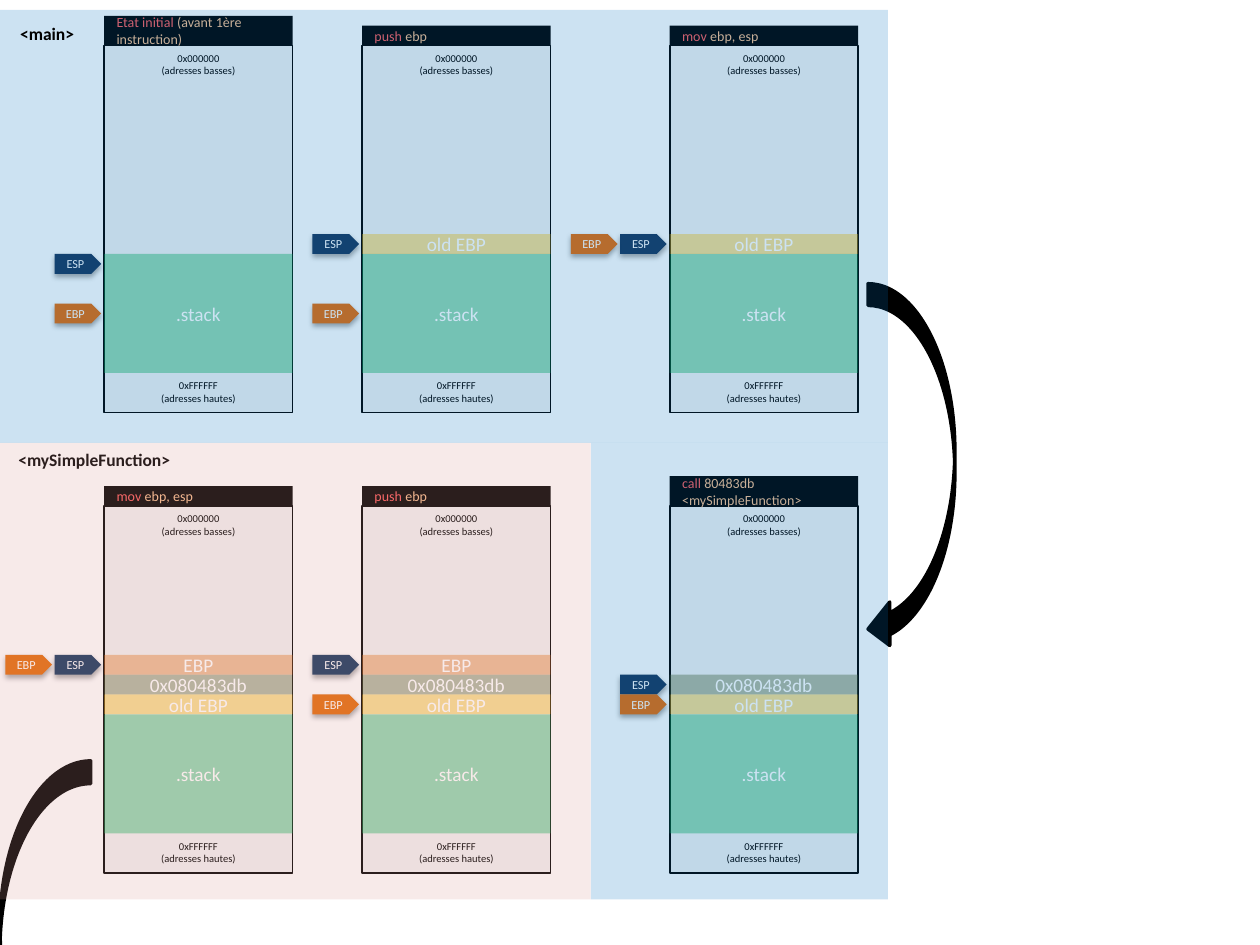
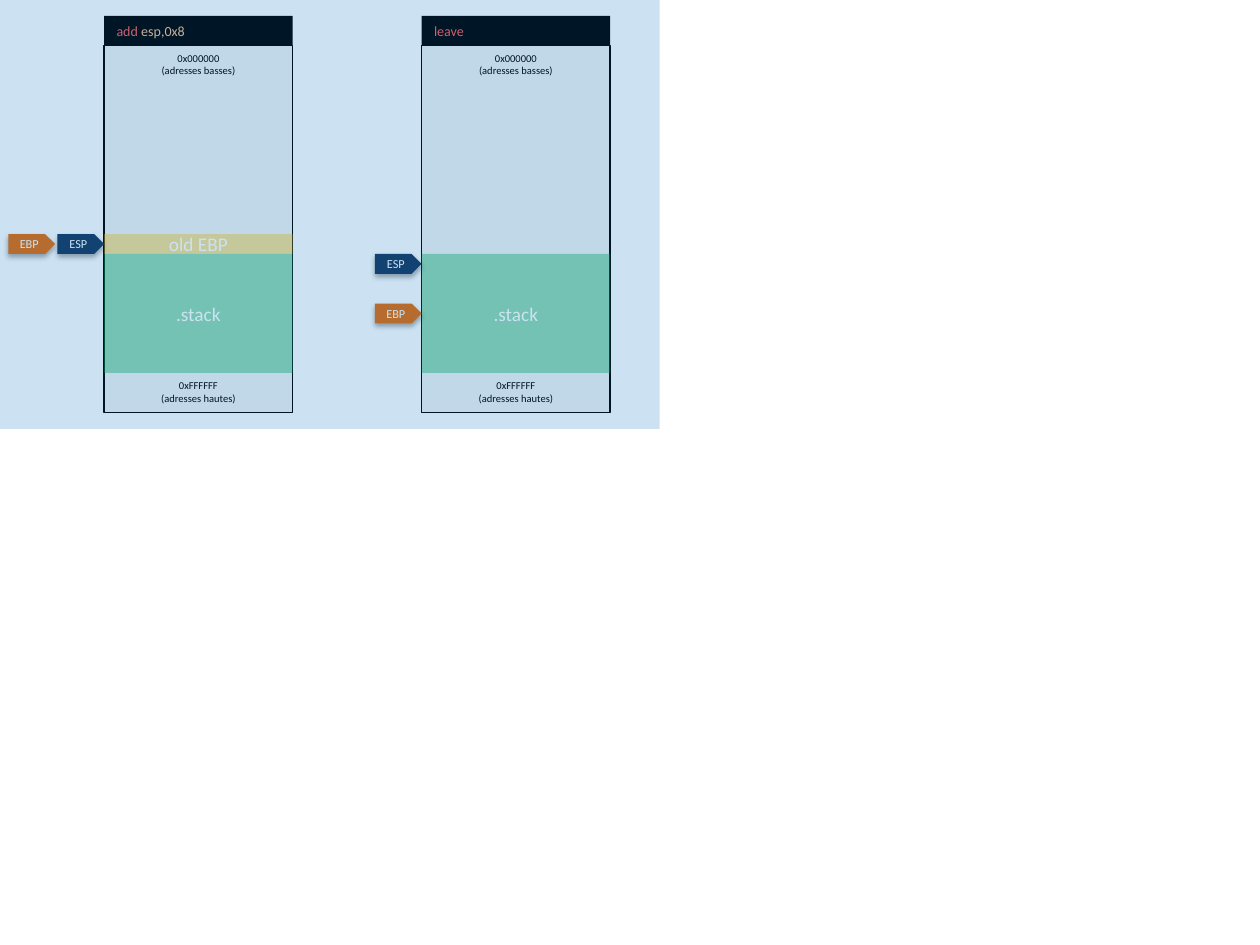
from pptx import Presentation, util as u
from pptx.dml.color import RGBColor
from pptx.enum import shapes, text
from pptx.oxml import parse_xml
from pptx.oxml.ns import nsdecls, qn

Cm, Pt = u.Cm, u.Pt
MSO = shapes.MSO_SHAPE
CENTER, LEFT = text.PP_ALIGN.CENTER, text.PP_ALIGN.LEFT

# Shared style
FONT = "Calibri"
BLACK, WHITE, PANEL = "000000", "FFFFFF", "F2F2F2"
KEYWORD, OPERAND = "FF5D5D", "FAC090"
MAIN, FUNCTION = "0070C0", "D99694"
STACK = "00B050"
REGISTERS = {"ESP": "17375E", "EBP": "E46C0A"}
CELLS = {"old EBP": "FFC000", "0x080483db": "4F6228", "EBP": "E46C0A"}

# Memory column geometry, in cm
CELL = 0.4                    # height of one pushed value or register tag
COL_W, COL_H = 3.8, 7.4
STACK_TOP, STACK_H = 4.2, 6 * CELL
LABEL_H = 0.77
TAG_W, TAG_STEP = 0.94, 0.99
ROWS = (0.92, 10.2)
LOW = "0x000000\n(adresses basses)"
HIGH = "0xFFFFFF\n(adresses hautes)"

# Content
# Each state: left, row, header height, keyword, operand, pushed values
# (bottom up), tags as (register, cells below stack top, slot leftwards)
SLIDES = [
    {
        "tag_gap": 0.06,
        "states": [
            (2.1, 0, 0.6, "Etat initial ", "(avant 1ère instruction)", [],
             [("ESP", 0, 0), ("EBP", 2.5, 0)]),
            (7.3, 0, 0.4, "push ", "ebp", ["old EBP"],
             [("ESP", -1, 0), ("EBP", 2.5, 0)]),
            (13.5, 0, 0.4, "mov ", "ebp, esp", ["old EBP"],
             [("ESP", -1, 0), ("EBP", -1, 1)]),
            (13.5, 1, 0.6, "call ", "80483db <mySimpleFunction>",
             ["old EBP", "0x080483db"], [("ESP", -2, 0), ("EBP", -1, 0)]),
            (7.3, 1, 0.4, "push ", "ebp", ["old EBP", "0x080483db", "EBP"],
             [("ESP", -3, 0), ("EBP", -1, 0)]),
            (2.1, 1, 0.4, "mov ", "ebp, esp", ["old EBP", "0x080483db", "EBP"],
             [("ESP", -3, 0), ("EBP", -3, 1)]),
        ],
        # left, top, width, height, mirrored
        "arrows": [(17.5, 5.72, 1.75, 7.4, False), (0, 15.34, 1.83, 7.4, True)],
        # left, top, width, height, colour
        "zones": [(0, 0.2, 17.9, 8.73, MAIN), (0, 8.93, 11.91, 9.2, FUNCTION),
                  (11.91, 8.93, 5.99, 9.2, MAIN)],
        # left, top, width, name
        "names": [(0, 0.33, 1.9, "<main>"),
                  (-0.5, 8.93, 4.8, "<mySimpleFunction>")],
    },
    {
        "tag_gap": 0,
        "states": [
            (2.1, 0, 0.6, "add ", "esp,0x8", ["old EBP"],
             [("ESP", -1, 0), ("EBP", -1, 1)]),
            (8.5, 0, 0.6, "leave", "", [], [("ESP", 0, 0), ("EBP", 2.5, 0)]),
        ],
        "arrows": [],
        "zones": [(0, -0.08, 13.3, 8.73, MAIN)],
        "names": [],
    },
]


def rgb(colour):
    return RGBColor.from_string(colour)


def style(p, size, colours, align=CENTER, bold=False):
    p.alignment = align
    for r, colour in zip(p.runs, colours):
        r.font.name, r.font.size, r.font.bold = FONT, Pt(size), bold
        r.font.color.rgb = rgb(colour)


def add_shape(s, kind, x, y, w, h, fill, alpha=None, line=None):
    sp = s.shapes.add_shape(kind, Cm(x), Cm(y), Cm(w), Cm(h))
    sp.fill.solid()
    sp.fill.fore_color.rgb = rgb(fill)
    if alpha:
        colour = sp._element.spPr.find(qn("a:solidFill"))[0]
        colour.append(parse_xml(
            f'<a:alpha {nsdecls("a")} val="{alpha * 1000}"/>'))
    if line:
        sp.line.color.rgb = rgb(BLACK)
        sp.line.width = Pt(line)
    else:
        sp.line.fill.background()
    sp.shadow.inherit = False
    return sp


def write(sp, words, size):
    sp.text_frame.text = words
    sp.text_frame.vertical_anchor = text.MSO_ANCHOR.MIDDLE
    style(sp.text_frame.paragraphs[0], size, [WHITE])


def add_label(s, x, y, w, h, words, size, bold=False):
    tf = s.shapes.add_textbox(Cm(x), Cm(y), Cm(w), Cm(h)).text_frame
    tf.word_wrap = True
    tf.auto_size = text.MSO_AUTO_SIZE.SHAPE_TO_FIT_TEXT
    tf.text = words
    for p in tf.paragraphs:
        style(p, size, [BLACK], bold=bold)


def add_tag(s, x, y, register):
    sp = add_shape(s, MSO.PENTAGON, x, y, TAG_W, CELL, REGISTERS[register])
    sp._element.spPr.find(qn("a:effectLst")).append(parse_xml(
        f'<a:outerShdw {nsdecls("a")} blurRad="{Pt(3.1)}" dist="{Pt(1.8)}" '
        'dir="5400000" rotWithShape="0"><a:srgbClr val="000000">'
        '<a:alpha val="35000"/></a:srgbClr></a:outerShdw>'))
    tf = sp.text_frame
    tf.margin_left = tf.margin_right = tf.margin_top = tf.margin_bottom = Cm(0.1)
    write(sp, register, 7)


def add_header(s, x, bottom, h, keyword, operand):
    sp = add_shape(s, MSO.RECTANGLE, x, bottom - h, COL_W, h, BLACK)
    sp.text_frame.vertical_anchor = text.MSO_ANCHOR.MIDDLE
    p = sp.text_frame.paragraphs[0]
    for words in filter(None, (keyword, operand)):
        p.add_run().text = words
    style(p, 8, [KEYWORD, OPERAND], LEFT)


def add_state(s, gap, x, row, header_h, keyword, operand, pushed, tags):
    top = ROWS[row]
    stack = top + STACK_TOP
    add_shape(s, MSO.RECTANGLE, x, top, COL_W, COL_H, PANEL, line=1)
    add_label(s, x, top, COL_W, LABEL_H, LOW, 6)
    add_label(s, x, stack + STACK_H, COL_W, LABEL_H, HIGH, 6)
    write(add_shape(s, MSO.RECTANGLE, x, stack, COL_W, STACK_H, STACK, 40),
          ".stack", 11)
    for register, cells, slot in tags:
        add_tag(s, x - gap - TAG_W - slot * TAG_STEP, stack + cells * CELL,
                register)
    for i, value in enumerate(pushed, 1):
        write(add_shape(s, MSO.RECTANGLE, x, stack - i * CELL, COL_W, CELL,
                        CELLS[value], 40), value, 11)
    add_header(s, x, top, header_h, keyword, operand)


# Build the slides
prs = Presentation()
prs.slide_width, prs.slide_height = Cm(25.4), Cm(19.05)
for content in SLIDES:
    s = prs.slides.add_slide(prs.slide_layouts[6])
    for state in content["states"]:
        add_state(s, content["tag_gap"], *state)
    for x, y, w, h, mirrored in content["arrows"]:
        sp = add_shape(s, MSO.CURVED_LEFT_ARROW, x, y, w, h, BLACK, line=2)
        if mirrored:
            sp._element.spPr.find(qn("a:xfrm")).set("flipH", "1")
    # Translucent zones tint everything below them; names follow the first
    for i, (x, y, w, h, colour) in enumerate(content["zones"]):
        add_shape(s, MSO.RECTANGLE, x, y, w, h, colour, 20)
        if i == 0:
            for left, top, width, name in content["names"]:
                add_label(s, left, top, width, 0.68, name, 10, bold=True)
prs.save("out.pptx")
